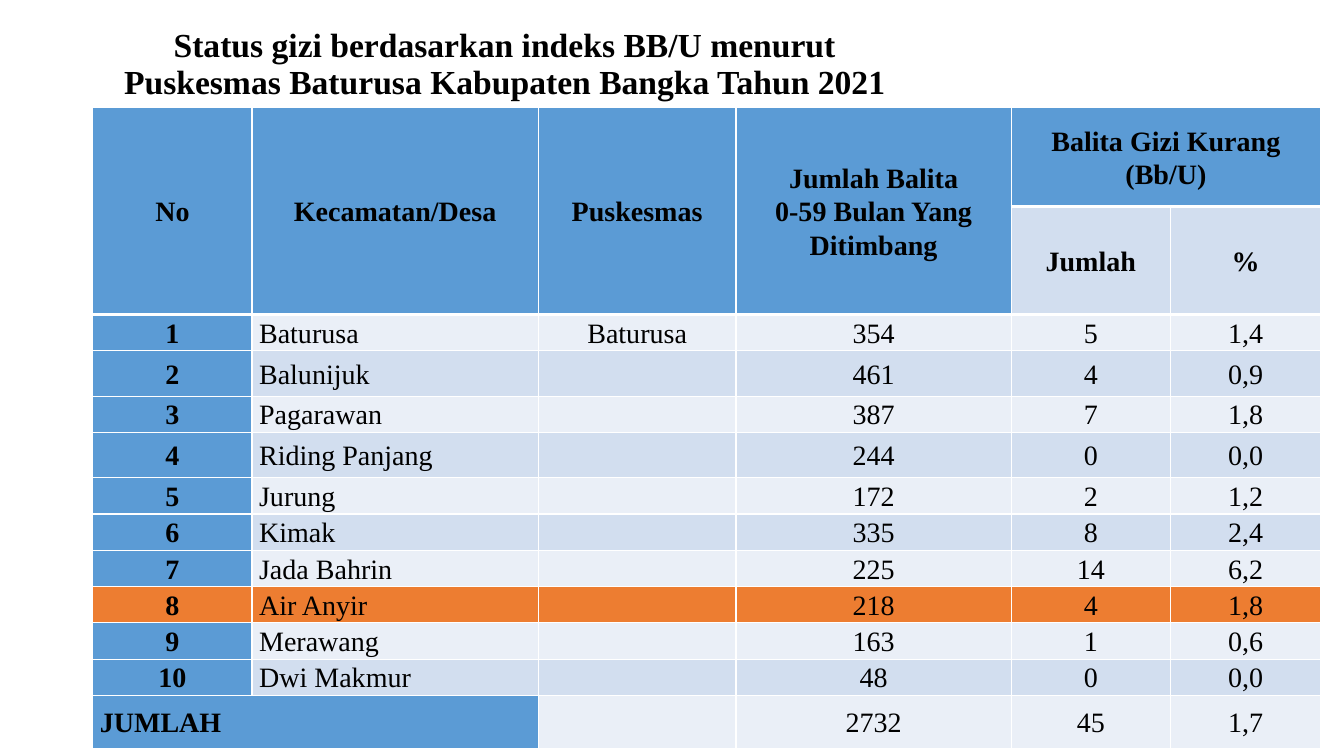
from lxml.etree import SubElement
from pptx import Presentation
from pptx.dml.color import RGBColor
from pptx.enum.text import MSO_ANCHOR, PP_ALIGN
from pptx.oxml.ns import qn
from pptx.util import Inches, Pt

FONT = "Times New Roman"
BLUE, PALE, LIGHT, ORANGE = "5B9BD5", "D2DEEF", "EAEFF7", "ED7D31"
TITLE = ("Status gizi berdasarkan indeks BB/U menurut "
         "Puskesmas Baturusa Kabupaten Bangka Tahun 2021")
WIDTHS = [1.58, 2.84, 1.96, 2.73, 1.58, 1.49]
HEIGHTS = [0.98, 0.98, 0.36, 0.45, 0.36, 0.45] + [0.36] * 6 + [0.53]
HEAD = [
    ["No", "Kecamatan/Desa", "Puskesmas",
     "Jumlah Balita\v0-59 Bulan Yang Ditimbang", "Balita Gizi Kurang (Bb/U)", ""],
    ["", "", "", "", "Jumlah", "%"],
]
VILLAGES = [
    ("Baturusa", "354", "5", "1,4"),
    ("Balunijuk", "461", "4", "0,9"),
    ("Pagarawan", "387", "7", "1,8"),
    ("Riding Panjang", "244", "0", "0,0"),
    ("Jurung", "172", "2", "1,2"),
    ("Kimak", "335", "8", "2,4"),
    ("Jada Bahrin", "225", "14", "6,2"),
    ("Air Anyir", "218", "4", "1,8"),
    ("Merawang", "163", "1", "0,6"),
    ("Dwi Makmur", "48", "0", "0,0"),
]
TOTAL = ["JUMLAH", "", "", "2732", "45", "1,7"]
MARKED = 9


def color(code):
    return RGBColor.from_string(code)


def style(para, size, bold, align, space):
    para.alignment = align
    para.line_spacing = space
    for run in para.runs:
        run.font.name = FONT
        run.font.size = Pt(size)
        run.font.bold = bold
        run.font.color.rgb = color("000000")


def border(cell, top, bottom):
    props = cell._tc.get_or_add_tcPr()
    for side, width in (("L", 1), ("R", 1), ("T", top), ("B", bottom)):
        line = SubElement(props, qn(f"a:ln{side}"), w=str(Pt(width)))
        fill = SubElement(line, qn("a:solidFill"))
        SubElement(fill, qn("a:srgbClr"), val="FFFFFF")


def shade(row, col, last):
    if row == MARKED:
        return ORANGE
    if col == 0 or row == 0 or (row == 1 and col < 4) or (row == last and col == 1):
        return BLUE
    return PALE if row % 2 else LIGHT


def add_title(slide, left, top, width, height):
    box = slide.shapes.add_textbox(
        Inches(left), Inches(top), Inches(width), Inches(height))
    frame = box.text_frame
    frame.word_wrap = True
    frame.vertical_anchor = MSO_ANCHOR.MIDDLE
    frame.text = TITLE
    style(frame.paragraphs[0], 24, True, PP_ALIGN.CENTER, 0.9)


def fill_cell(cell, text, row, col, last):
    head = row < 2
    border(cell, 3 if row in (1, 2) else 1,
           3 if row == 0 or (row == 1 and col < 4) else 1)
    cell.fill.solid()
    cell.fill.fore_color.rgb = color(shade(row, col, last))
    cell.vertical_anchor = MSO_ANCHOR.MIDDLE
    cell.margin_left = cell.margin_right = Inches(0.07)
    cell.margin_top = cell.margin_bottom = 0
    if text:
        cell.text_frame.text = text
        para = cell.text_frame.paragraphs[0]
        left = not head and (col == 1 or row == last and col == 0)
        style(para, 20, head or col == 0,
              PP_ALIGN.LEFT if left else PP_ALIGN.CENTER, 1.07)
        para.space_after = Pt(8)


def add_grid(slide, left, top):
    rows = HEAD + [
        [str(num), name, "Baturusa" if num == 1 else "", *counts]
        for num, (name, *counts) in enumerate(VILLAGES, 1)
    ] + [TOTAL]
    last = len(rows) - 1
    table = slide.shapes.add_table(
        len(rows), len(WIDTHS), Inches(left), Inches(top),
        Inches(sum(WIDTHS)), Inches(sum(HEIGHTS))).table
    table.first_row = table.horz_banding = False
    for col, width in enumerate(WIDTHS):
        table.columns[col].width = Inches(width)
    for row, height in enumerate(HEIGHTS):
        table.rows[row].height = Inches(height)
    for col in range(4):
        table.cell(0, col).merge(table.cell(1, col))
    table.cell(0, 4).merge(table.cell(0, 5))
    table.cell(last, 0).merge(table.cell(last, 1))
    for row, texts in enumerate(rows):
        for col, text in enumerate(texts):
            fill_cell(table.cell(row, col), text, row, col, last)


def main():
    deck = Presentation()
    deck.slide_width, deck.slide_height = Inches(13.33), Inches(7.5)
    slide = deck.slides.add_slide(deck.slide_layouts[6])
    add_title(slide, 0.92, 0.21, 8.17, 0.87)
    add_grid(slide, 0.92, 1.07)
    deck.save("out.pptx")


if __name__ == "__main__":
    main()
